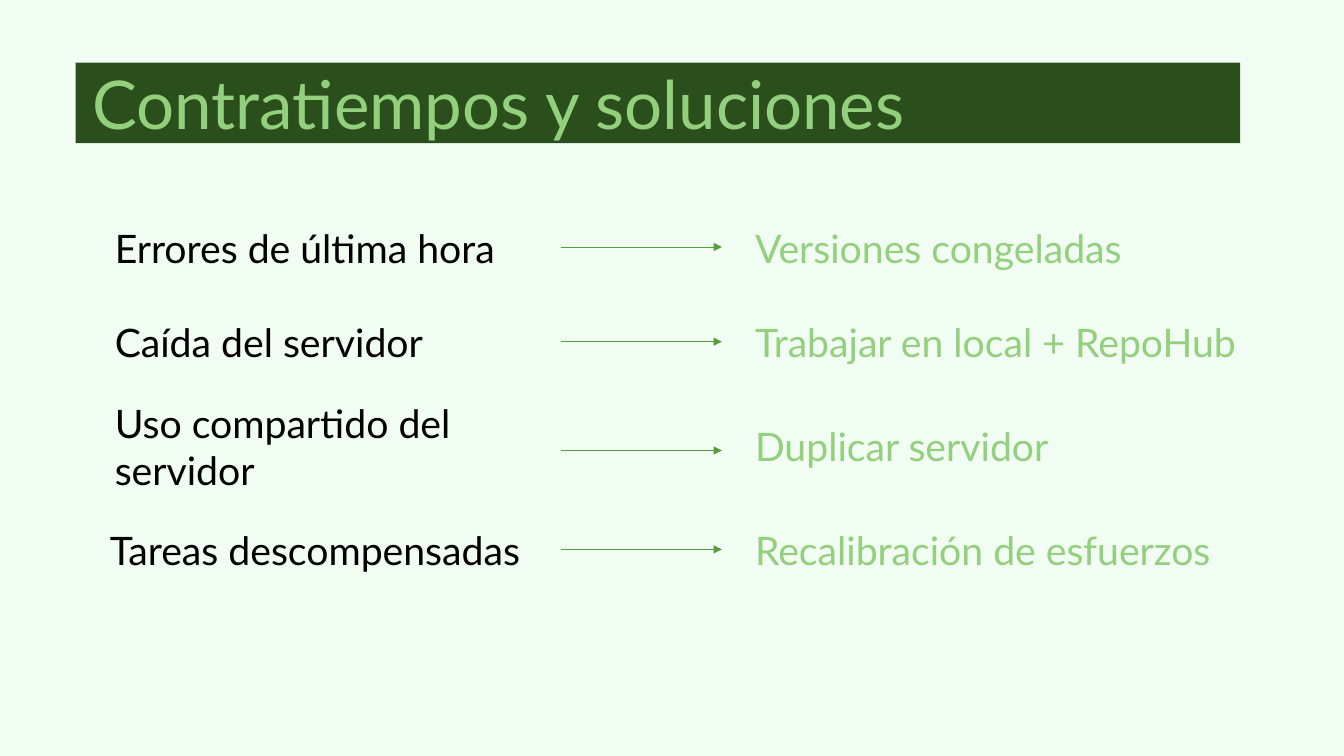
from lxml import etree
from pptx import Presentation, util as u
from pptx.dml.color import RGBColor
from pptx.enum import shapes, text
from pptx.oxml.ns import qn


def colour(hex_code):
    return RGBColor.from_string(hex_code)


class SlideBuilder:
    """Holds the style and the slide; lengths are percentages of the slide's size."""

    FONT = "Lato"
    BACKGROUND, BAR, LIGHT, ARROW, DARK = "F1FDF2", "2A4F1C", "93D07D", "549E39", "000000"

    def __init__(self, presentation):
        self.width = presentation.slide_width
        self.height = presentation.slide_height
        self.slide = presentation.slides.add_slide(presentation.slide_layouts[6])
        background = self.slide.background.fill
        background.solid()
        background.fore_color.rgb = colour(self.BACKGROUND)

    def x(self, share):
        return u.Emu(round(self.width * share / 100))

    def y(self, share):
        return u.Emu(round(self.height * share / 100))

    def area(self, left, top, width, height):
        return self.x(left), self.y(top), self.x(width), self.y(height)

    def bar(self, left, top, width, height):
        shape = self.slide.shapes.add_shape(
            shapes.MSO_SHAPE.RECTANGLE, *self.area(left, top, width, height))
        shape.shadow.inherit = False
        shape.fill.solid()
        shape.fill.fore_color.rgb = colour(self.BAR)
        shape.line.fill.background()

    def label(self, words, left, middle, width, height, size, hex_code):
        """Adds a text box centred vertically on middle."""
        box = self.slide.shapes.add_textbox(
            *self.area(left, middle - height / 2, width, height))
        frame = box.text_frame
        frame.word_wrap = True
        frame.vertical_anchor = text.MSO_ANCHOR.MIDDLE
        run = frame.paragraphs[0].add_run()
        run.text = words
        run.font.name = self.FONT
        run.font.size = u.Pt(size)
        run.font.color.rgb = colour(hex_code)

    def arrow(self, start, end, middle):
        connector = self.slide.shapes.add_connector(
            shapes.MSO_CONNECTOR.STRAIGHT,
            self.x(start), self.y(middle), self.x(end), self.y(middle))
        connector.line.color.rgb = colour(self.ARROW)
        connector.line.width = u.Pt(0.5)
        properties = connector._element.spPr
        etree.SubElement(properties.find(qn("a:ln")), qn("a:tailEnd"), type="triangle")
        etree.SubElement(properties, qn("a:effectLst"))


# Problem, its left edge, its height, solution, middle of the texts, middle of the arrow
ROWS = [
    ("Errores de última hora", 7.8, 7.6, "Versiones congeladas", 32.73, 32.67),
    ("Caída del servidor", 7.8, 7.6, "Trabajar en local + RepoHub", 45.27, 45.2),
    ("Uso compartido del servidor", 7.8, 13.87, "Duplicar servidor", 59, 59.6),
    ("Tareas descompensadas", 7.43, 7.6, "Recalibración de esfuerzos", 72.73, 72.67),
]


def main():
    presentation = Presentation()
    presentation.slide_width = u.Inches(13.33)
    presentation.slide_height = u.Inches(7.5)
    builder = SlideBuilder(presentation)
    builder.bar(5.63, 8.27, 86.65, 10.67)
    builder.label("Contratiempos y soluciones", 6.15, 13.53, 73.52, 12.13, 48, builder.LIGHT)
    for problem, left, height, solution, middle, arrow_middle in ROWS:
        builder.label(problem, left, middle, 33.46, height, 28, builder.DARK)
        builder.arrow(41.71, 53.71, arrow_middle)
        builder.label(solution, 55.44, middle, 40, 7.6, 28, builder.LIGHT)
    presentation.save("out.pptx")


if __name__ == "__main__":
    main()
